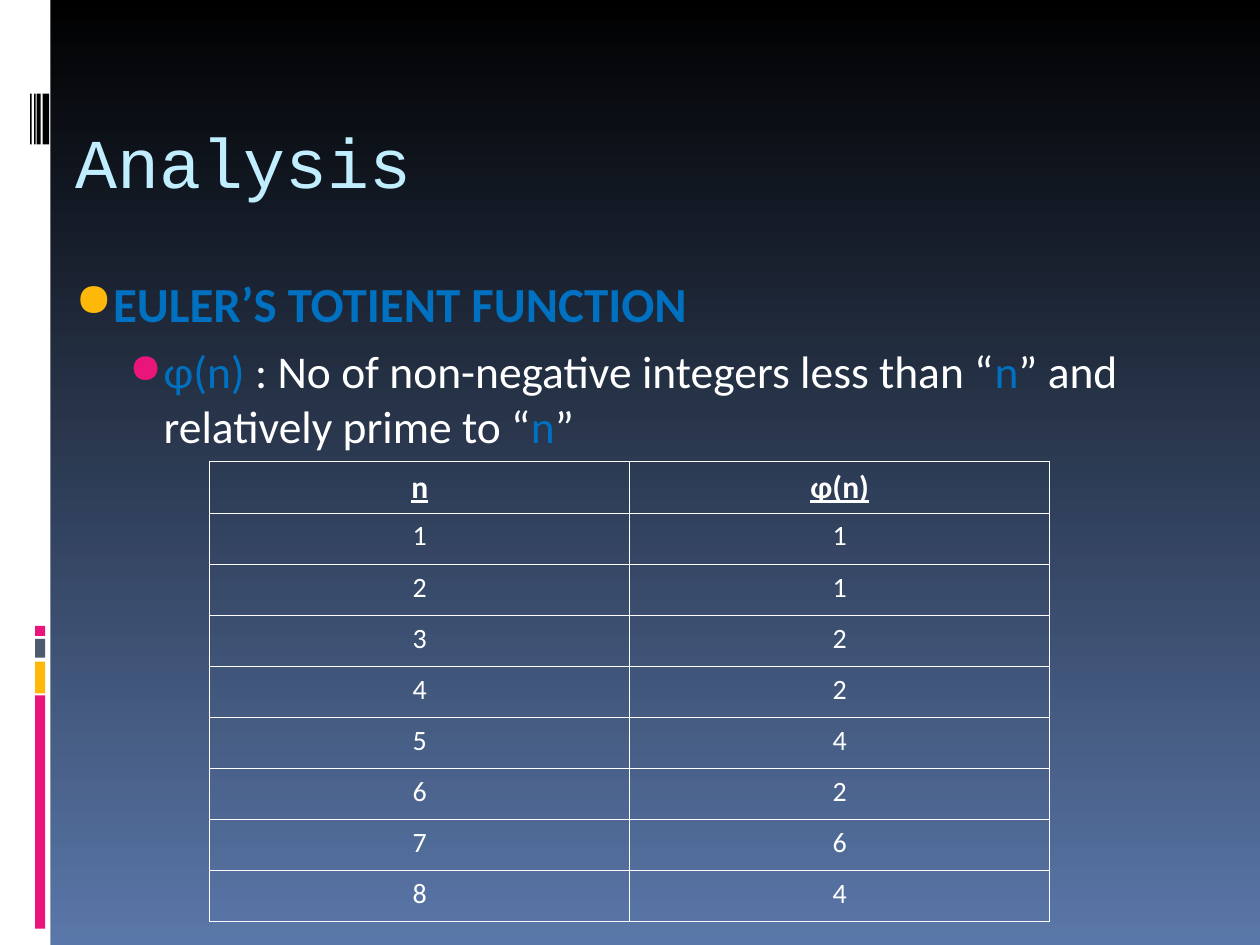
"""Build the slide on Euler's totient function with its table of values."""
from dataclasses import dataclass

import lxml.etree
import pptx
import pptx.dml.color
import pptx.enum.shapes
import pptx.enum.text
import pptx.oxml.ns
import pptx.util

Cm = pptx.util.Cm
Pt = pptx.util.Pt
qn = pptx.oxml.ns.qn

WHITE, BLACK, PINK, GOLD, SLATE = "FFFFFF", "000000", "EA157A", "FEB80A", "4E5B6F"
BLUE, PALE_BLUE, STEEL = "0070C0", "C1EEFF", "5A77A9"
TOTIENTS = [1, 1, 2, 2, 4, 2, 6, 4]


@dataclass
class Bar:
    left: float
    top: float
    width: float
    height: float
    colour: str


@dataclass
class Bullet:
    level: int
    indent: float
    hanging: float
    space_before: float
    colour: str
    percent: int
    size: int
    bold: bool
    runs: list[tuple[str, str]]


BARS = [
    Bar(0, 0, 1.02, 19.05, WHITE),
    Bar(0.71, 14.02, 0.2, 4.7, PINK),
    Bar(0.71, 13.34, 0.2, 0.64, GOLD),
    Bar(0.71, 12.88, 0.2, 0.38, SLATE),
    Bar(0.71, 12.62, 0.2, 0.2, PINK),
] + [Bar(left, 1.89, width, 1.02, BLACK)
     for left, width in [(0.86, 0.13), (0.74, 0.08), (0.69, 0.03), (0.61, 0.03)]]

BULLETS = [
    Bullet(0, 0.76, 0.76, 0, GOLD, 95, 28, True, [("EULER’S TOTIENT FUNCTION", BLUE)]),
    Bullet(1, 1.78, 0.69, 6.5, PINK, 90, 26, False, [
        ("φ(n)", BLUE),
        (" : No of non-negative integers less than “", WHITE),
        ("n", BLUE),
        ("” and relatively prime to “", WHITE),
        ("n", BLUE),
        ("”", WHITE),
    ]),
]


def rgb(colour: str) -> pptx.dml.color.RGBColor:
    return pptx.dml.color.RGBColor.from_string(colour)


def style_font(font, name: str, size: float, colour: str, bold: bool = False) -> None:
    font.name = name
    font.size = Pt(size)
    font.bold = bold
    font.color.rgb = rgb(colour)


def paint_background(slide) -> None:
    fill = slide.background.fill
    fill.gradient()
    fill.gradient_angle = 270
    for stop, colour in zip(fill.gradient_stops, (BLACK, STEEL)):
        stop.color.rgb = rgb(colour)


def draw_bar(slide, bar: Bar) -> None:
    shape = slide.shapes.add_shape(
        pptx.enum.shapes.MSO_SHAPE.RECTANGLE,
        Cm(bar.left), Cm(bar.top), Cm(bar.width), Cm(bar.height))
    shape.shadow.inherit = False
    shape.fill.solid()
    shape.fill.fore_color.rgb = rgb(bar.colour)
    shape.line.fill.background()


def add_text_frame(slide, top: float, height: float):
    shape = slide.shapes.add_textbox(Cm(1.27), Cm(top), Cm(22.86), Cm(height))
    shape.text_frame.word_wrap = True
    return shape.text_frame


def draw_title(slide) -> None:
    text_frame = add_text_frame(slide, 1.96, 3.18)
    text_frame.margin_top = Cm(0.43)
    text_frame.text = "Analysis"
    style_font(text_frame.paragraphs[0].runs[0].font, "Courier New", 40, PALE_BLUE)


def write_bullet(paragraph, bullet: Bullet) -> None:
    paragraph.level = bullet.level
    paragraph.space_before = Pt(bullet.space_before)
    properties = paragraph._p.get_or_add_pPr()
    properties.set("marL", str(Cm(bullet.indent)))
    properties.set("indent", str(-Cm(bullet.hanging)))
    colour = lxml.etree.SubElement(properties, qn("a:buClr"))
    lxml.etree.SubElement(colour, qn("a:srgbClr"), val=bullet.colour)
    lxml.etree.SubElement(properties, qn("a:buSzPct"), val=str(bullet.percent * 1000))
    lxml.etree.SubElement(properties, qn("a:buChar"), char="●")
    for text, text_colour in bullet.runs:
        run = paragraph.add_run()
        run.text = text
        style_font(run.font, "Calibri", bullet.size, text_colour, bullet.bold)


def draw_body(slide) -> None:
    text_frame = add_text_frame(slide, 5.38, 12.19)
    for index, bullet in enumerate(BULLETS):
        paragraph = text_frame.add_paragraph() if index else text_frame.paragraphs[0]
        write_bullet(paragraph, bullet)


def outline_cell(cell) -> None:
    properties = cell._tc.get_or_add_tcPr()
    for index, side in enumerate(("a:lnL", "a:lnR", "a:lnT", "a:lnB")):
        line = lxml.etree.Element(qn(side), w=str(Pt(0.45)))
        fill = lxml.etree.SubElement(line, qn("a:solidFill"))
        lxml.etree.SubElement(fill, qn("a:srgbClr"), val=WHITE)
        properties.insert(index, line)


def fill_cell(cell, text: str, header: bool) -> None:
    cell.fill.background()
    outline_cell(cell)
    cell.text_frame.text = text
    paragraph = cell.text_frame.paragraphs[0]
    paragraph.alignment = pptx.enum.text.PP_ALIGN.CENTER
    font = paragraph.runs[0].font
    style_font(font, "Calibri", 18 if header else 16, WHITE, header)
    font.underline = header


def draw_table(slide) -> None:
    rows = [("n", "φ(n)")] + [(str(n), str(value)) for n, value in enumerate(TOTIENTS, 1)]
    table = slide.shapes.add_table(
        len(rows), 2, Cm(4.23), Cm(9.31), Cm(16.93), Cm(9.27)).table
    table.first_row = False
    table.horz_banding = False
    for row_index, row in enumerate(rows):
        for column_index, text in enumerate(row):
            fill_cell(table.cell(row_index, column_index), text, row_index == 0)


def main() -> None:
    presentation = pptx.Presentation()
    presentation.slide_width = Cm(25.4)
    presentation.slide_height = Cm(19.05)
    slide = presentation.slides.add_slide(presentation.slide_layouts[6])
    paint_background(slide)
    for bar in BARS:
        draw_bar(slide, bar)
    draw_title(slide)
    draw_body(slide)
    draw_table(slide)
    presentation.save("out.pptx")


if __name__ == "__main__":
    main()
